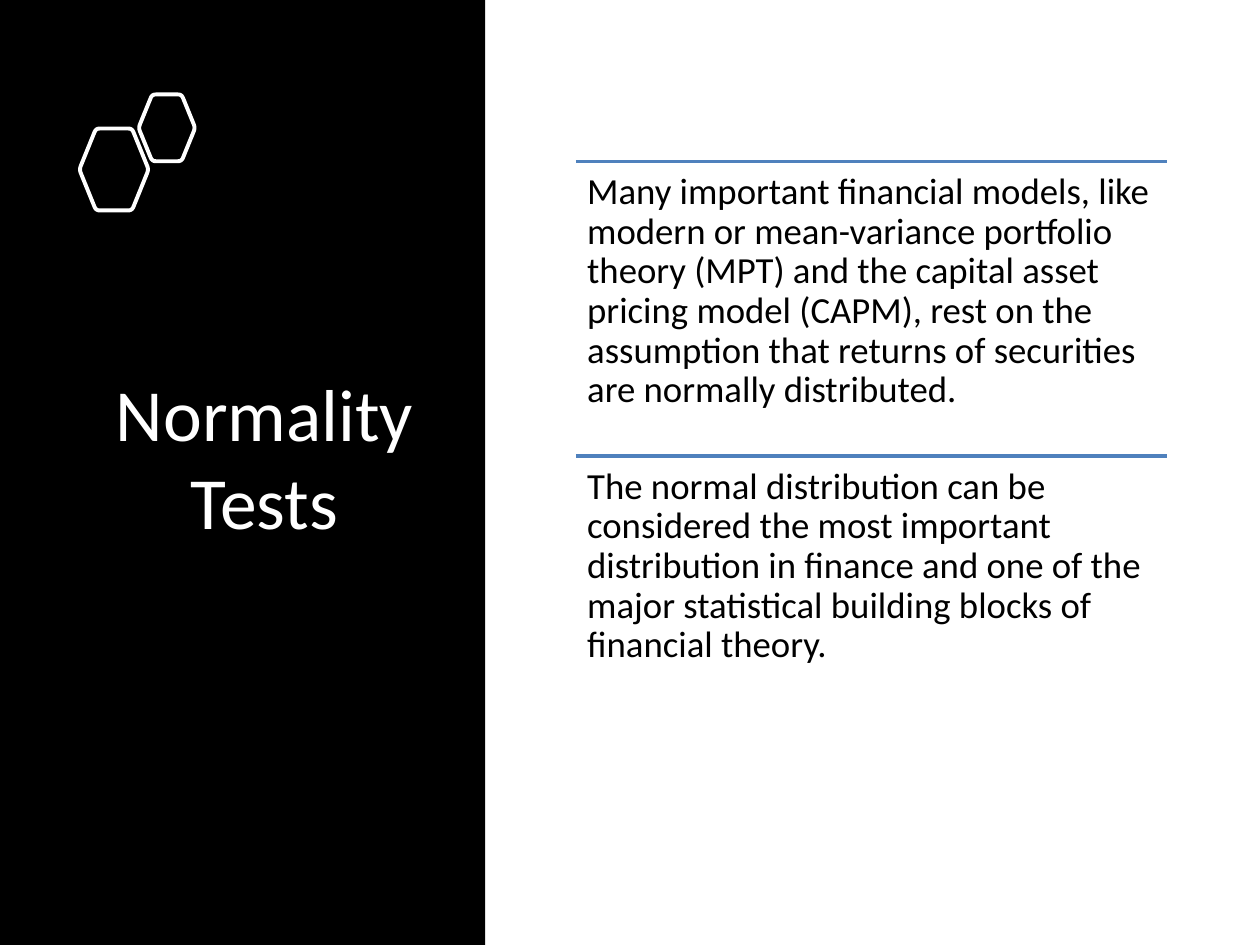
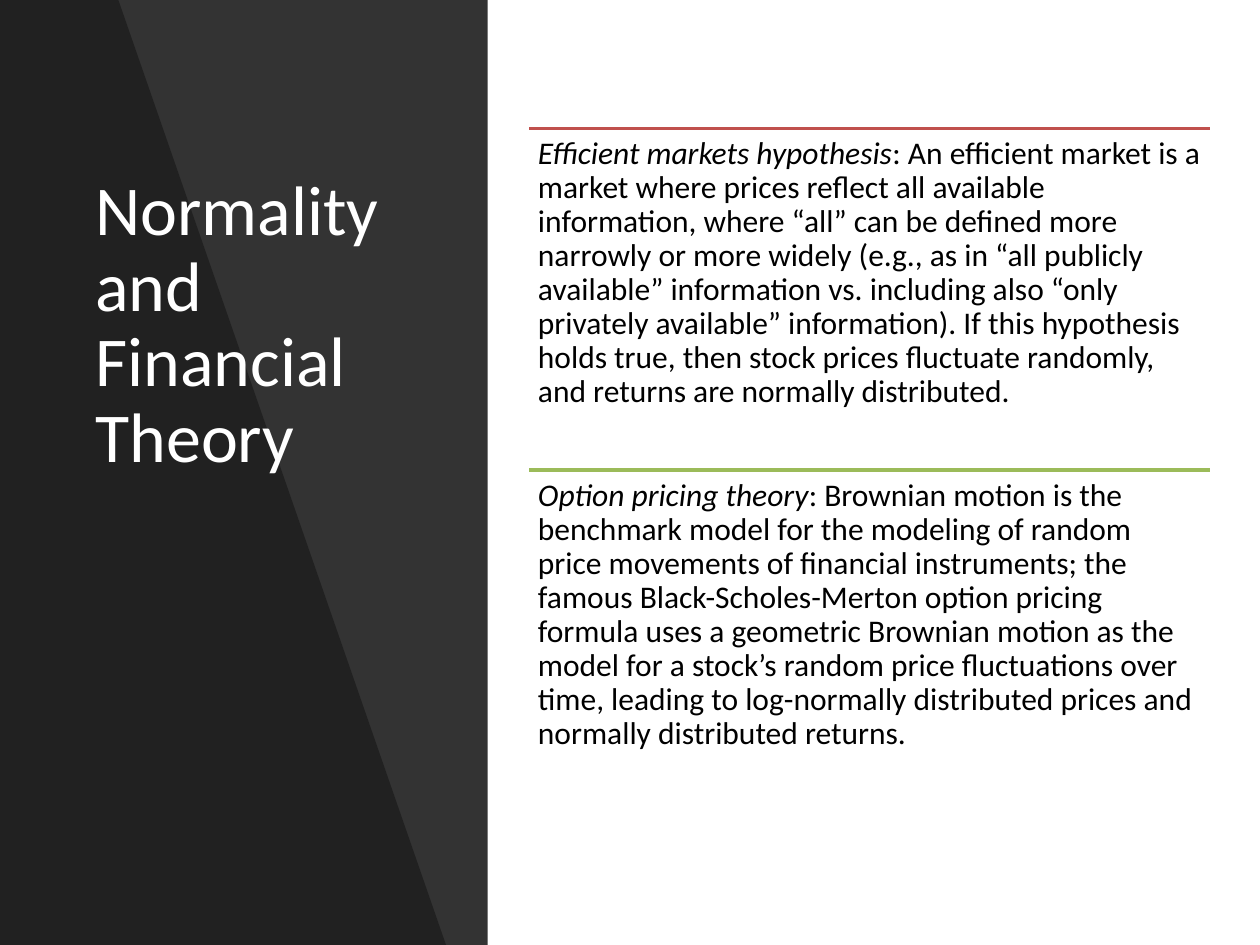
from lxml import etree
from pptx import Presentation
from pptx.dml.color import RGBColor
from pptx.enum.shapes import MSO_CONNECTOR, MSO_SHAPE
from pptx.enum.text import MSO_ANCHOR, PP_ALIGN
from pptx.oxml.ns import qn
from pptx.util import Inches, Pt

STRAIGHT = MSO_CONNECTOR.STRAIGHT
RECTANGLE = MSO_SHAPE.RECTANGLE
TOP, MIDDLE, BOTTOM = MSO_ANCHOR.TOP, MSO_ANCHOR.MIDDLE, MSO_ANCHOR.BOTTOM
LEFT, CENTER = PP_ALIGN.LEFT, PP_ALIGN.CENTER

FONT = "Calibri"
BLACK, WHITE = "000000", "FFFFFF"
BLUE, RED, GREEN = "4F81BD", "C0504D", "9BBB59"
SLIDE_WIDTH, SLIDE_HEIGHT = 10, 7.5

# Each slide: side panel, title, and stacked statements under coloured rules.
# A statement is (rule colour, lead in italics, remaining text).
TESTS = {
    "panel_width": 3.85,
    "panel_opacity": 100,
    "hexagons": [(0.63, 1.02, 0.55, 0.65), (1.1, 0.75, 0.45, 0.53)],
    "title": "Normality Tests",
    "title_area": (0.63, 1.28, 2.94, 4.68),
    "title_style": {"size": 42, "anchor": MIDDLE, "align": CENTER},
    "first_row": (4.57, 1.28, 4.69, 2.34),
    "text_style": {"size": 21, "inset": 0.09, "spacing": 0.9},
    "statements": [
        (BLUE, "",
         "Many important financial models, like modern or mean-variance "
         "portfolio theory (MPT) and the capital asset pricing model (CAPM), "
         "rest on the assumption that returns of securities are normally "
         "distributed."),
        (BLUE, "",
         "The normal distribution can be considered the most important "
         "distribution in finance and one of the major statistical building "
         "blocks of financial theory."),
    ],
}
THEORY = {
    "panel_width": 3.87,
    "panel_opacity": 80,
    "wedge": [(0, 0), (0.94, 0), (3.54, SLIDE_HEIGHT), (0, SLIDE_HEIGHT)],
    "title": "Normality and Financial Theory",
    "title_area": (0.66, 1.23, 2.71, 2.61),
    "title_style": {"size": 40, "anchor": BOTTOM, "spacing": 0.9},
    "first_row": (4.2, 1.02, 5.4, 2.71),
    "text_style": {"size": 18, "inset": 0.07, "spacing": 0.9},
    "statements": [
        (RED, "Efficient markets hypothesis",
         ": An efficient market is a market where prices reflect all "
         "available information, where “all” can be defined more narrowly or "
         "more widely (e.g., as in “all publicly available” information "
         "vs. including also “only privately available” information). If this "
         "hypothesis holds true, then stock prices fluctuate randomly, and "
         "returns are normally distributed."),
        (GREEN, "Option pricing theory",
         ": Brownian motion is the benchmark model for the modeling of random "
         "price movements of financial instruments; the famous "
         "Black-Scholes-Merton option pricing formula uses a geometric "
         "Brownian motion as the model for a stock’s random price "
         "fluctuations over time, leading to log-normally distributed prices "
         "and normally distributed returns."),
    ],
}


def color(value):
    return RGBColor.from_string(value)


def inches(values):
    return [Inches(value) for value in values]


def fill_black(shape, opacity):
    shape.shadow.inherit = False
    shape.fill.solid()
    shape.fill.fore_color.rgb = color(BLACK)
    shape.line.fill.background()
    if opacity < 100:
        tint = shape.element.spPr.find(qn("a:solidFill"))[0]
        etree.SubElement(tint, qn("a:alpha"), val=str(opacity * 1000))


def add_polygon(page, points):
    builder = page.shapes.build_freeform(*inches(points[0]), scale=1.0)
    builder.add_line_segments([inches(point) for point in points[1:]], close=True)
    return builder.convert_to_shape()


def rounded_corners(corners, cut=0.03, steps=6):
    """Replace each corner by points on a curve that starts `cut` before it."""
    points = []
    for index, (x, y) in enumerate(corners):
        ends = []
        for other_x, other_y in (corners[index - 1], corners[(index + 1) % len(corners)]):
            length = ((other_x - x) ** 2 + (other_y - y) ** 2) ** 0.5
            ends.append((x + (other_x - x) * cut / length,
                         y + (other_y - y) * cut / length))
        (start_x, start_y), (end_x, end_y) = ends
        for step in range(steps + 1):
            t = step / steps
            before, bend, after = (1 - t) ** 2, 2 * t * (1 - t), t ** 2
            points.append((before * start_x + bend * x + after * end_x,
                           before * start_y + bend * y + after * end_y))
    return points


def add_hexagon(page, left, top, width, height):
    slant = 0.24 * width
    right, bottom, middle = left + width, top + height, top + height / 2
    corners = [(left, middle), (left + slant, top), (right - slant, top),
               (right, middle), (right - slant, bottom), (left + slant, bottom)]
    hexagon = add_polygon(page, rounded_corners(corners))
    hexagon.shadow.inherit = False
    hexagon.fill.background()
    hexagon.line.color.rgb = color(WHITE)
    hexagon.line.width = Pt(2.25)


def add_text(page, area, spans, size, ink, anchor=TOP, align=LEFT,
             spacing=1.0, inset=None):
    """Add one paragraph made of (text, italic) spans."""
    box = page.shapes.add_textbox(*inches(area))
    frame = box.text_frame
    frame.word_wrap = True
    frame.vertical_anchor = anchor
    if inset is not None:
        frame.margin_left = frame.margin_right = Inches(inset)
        frame.margin_top = frame.margin_bottom = Inches(inset)
    para = frame.paragraphs[0]
    para.alignment = align
    para.line_spacing = spacing
    for text, italic in spans:
        span = para.add_run()
        span.text = text
        span.font.name = FONT
        span.font.size = Pt(size)
        span.font.italic = italic
        span.font.color.rgb = color(ink)


def add_rule(page, left, top, width, ink):
    rule = page.shapes.add_connector(
        STRAIGHT, *inches((left, top, left + width, top)))
    rule.line.color.rgb = color(ink)
    rule.line.width = Pt(2)
    etree.SubElement(rule.element.spPr, qn("a:effectLst"))


def add_page(deck, content):
    page = deck.slides.add_slide(deck.slide_layouts[6])
    panel = page.shapes.add_shape(
        RECTANGLE, *inches((0, 0, content["panel_width"], SLIDE_HEIGHT)))
    fill_black(panel, content["panel_opacity"])
    if "wedge" in content:
        fill_black(add_polygon(page, content["wedge"]), 35)
    for area in content.get("hexagons", []):
        add_hexagon(page, *area)
    add_text(page, content["title_area"], [(content["title"], False)],
             ink=WHITE, **content["title_style"])

    left, first_top, width, height = content["first_row"]
    for row, (ink, lead, text) in enumerate(content["statements"]):
        top = first_top + row * height
        add_rule(page, left, top, width, ink)
        spans = [(lead, True)] if lead else []
        add_text(page, (left, top, width, height), spans + [(text, False)],
                 ink=BLACK, **content["text_style"])


def main():
    deck = Presentation()
    deck.slide_width = Inches(SLIDE_WIDTH)
    deck.slide_height = Inches(SLIDE_HEIGHT)
    for content in (TESTS, THEORY):
        add_page(deck, content)
    deck.save("out.pptx")


if __name__ == "__main__":
    main()
